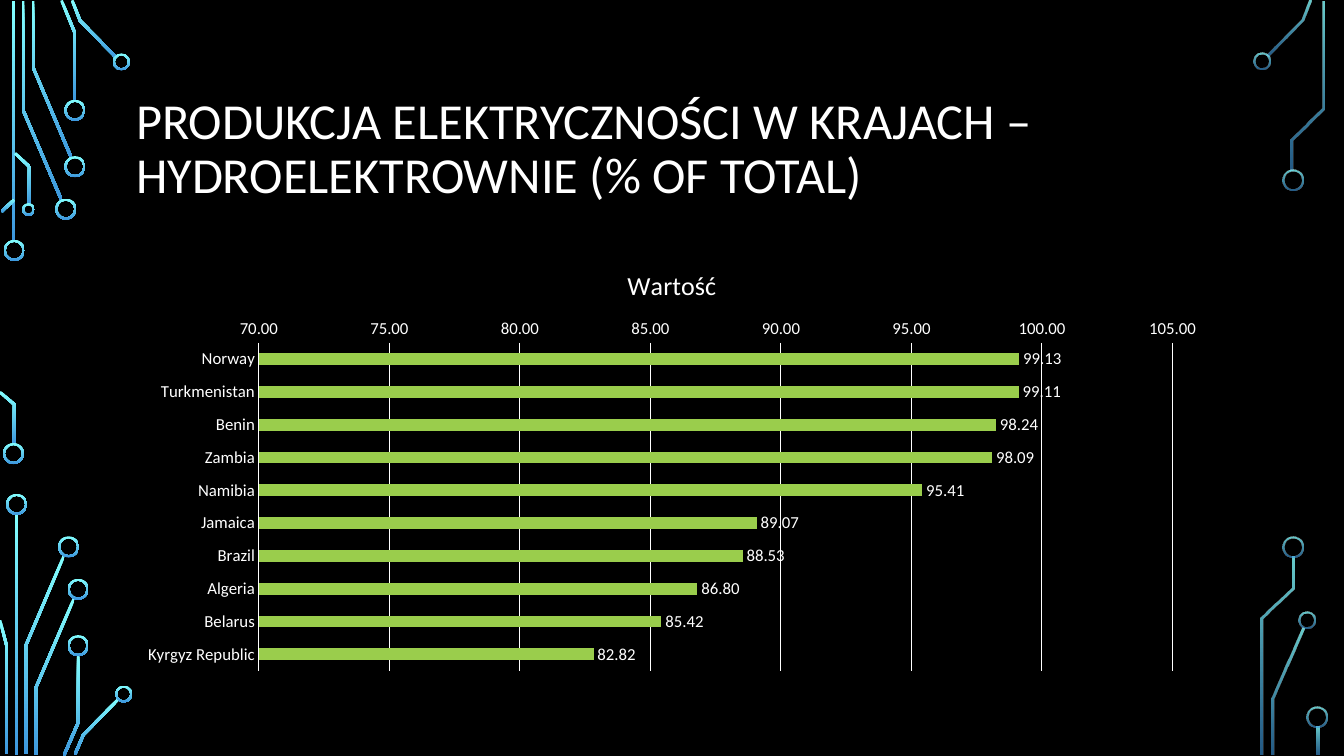
import math
from dataclasses import dataclass

import lxml.etree
import pptx
import pptx.chart.data
import pptx.dml.color
import pptx.enum.chart
import pptx.enum.shapes
import pptx.enum.text
import pptx.oxml
import pptx.oxml.ns
import pptx.util

Cm = pptx.util.Cm
RGB = pptx.dml.color.RGBColor


@dataclass(frozen=True)
class Theme:
    background: RGB = RGB.from_string("000000")
    text: RGB = RGB.from_string("FFFFFF")
    bar: RGB = RGB.from_string("9ACD4C")
    glow: tuple = (RGB.from_string("82FFFF"), RGB.from_string("3D97DE"))
    font: str = "Calibri"
    title_size: float = 36
    chart_title_size: float = 18.6
    axis_size: float = 12
    trace_width: float = 0.07
    ring_width: float = 0.05
    ring_size: float = 0.53


THEME = Theme()
SOLID = (100, 100)
FADED = (80, 60)

# Circuit traces: centre lines in cm
LEFT_TRACES = [
    [(0.34, 0.03), (0.34, 6.1)],
    [(0.58, 0.03), (0.58, 2.77), (1.55, 5.04)],
    [(0.83, 0.03), (0.83, 1.69), (1.8, 3.98)],
    [(1.55, 0.01), (1.89, 0.84), (1.89, 2.54)],
    [(1.82, 0.01), (2.02, 0.52), (2.93, 1.45)],
    [(0.04, 5.33), (0.36, 5.03)],
    [(0, 9.88), (0.36, 10.19), (0.36, 11.2)],
    [(0.38, 3.86), (0.74, 4.2), (0.74, 5.16)],
    [(0.42, 12.95), (0.42, 19.02)],
    [(0.65, 19), (0.65, 16.27), (1.61, 14.01)],
    [(0.17, 19), (0.17, 16.28), (0, 15.63)],
    [(0.9, 19.02), (0.9, 17.34), (1.87, 15.07)],
    [(1.61, 19.04), (1.97, 18.21), (1.97, 16.51)],
    [(1.89, 19.01), (2.1, 18.52), (3, 17.6)],
]
RIGHT_TRACES = [
    [(31.93, 1.41), (32.83, 0.51), (33.03, 0.01)],
    [(32.07, 19.02), (32.07, 17.61), (32.84, 15.84)],
    [(32.56, 4.3), (32.56, 3.52), (33.34, 2.73), (33.34, 0.03)],
    [(31.81, 19.02), (31.81, 15.58), (32.6, 14.82), (32.6, 14.02)],
    [(33.21, 18.31), (33.21, 19.02)],
]

# Trace ends: centre and, where it differs, diameter in cm
LEFT_RINGS = [
    (0.36, 6.31), (0.34, 11.43), (1.66, 5.27), (1.89, 4.2), (1.89, 2.78),
    (3.06, 1.56, 0.43), (0.72, 5.28, 0.32), (0.42, 12.71), (1.73, 13.78),
    (1.97, 14.85), (1.97, 16.27), (3.12, 17.49, 0.43),
]
RIGHT_RINGS = [
    (31.8, 1.54, 0.43), (32.58, 4.53), (32.93, 15.63, 0.43),
    (32.59, 13.78), (33.18, 18.08),
]

HYDRO_SHARE = {
    "Norway": 99.13, "Turkmenistan": 99.11, "Benin": 98.24, "Zambia": 98.09,
    "Namibia": 95.41, "Jamaica": 89.07, "Brazil": 88.53, "Algeria": 86.80,
    "Belarus": 85.42, "Kyrgyz Republic": 82.82,
}


def style_font(font, size, color=THEME.text, bold=False):
    font.name, font.size, font.bold = THEME.font, pptx.util.Pt(size), bold
    font.color.rgb = color


def add_text(para, text, *, size, color=THEME.text, bold=False, spacing=None):
    span = para.add_run()
    span.text = text
    style_font(span.font, size, color, bold)
    if spacing:
        para.line_spacing = spacing


def paint_glow(shape, opacities):
    """Fill from top to bottom with the glow colours, without outline or shadow."""
    shape.shadow.inherit = False
    shape.line.fill.background()
    shape.fill.gradient()
    shape.fill.gradient_angle = 270
    for stop, color in zip(shape.fill.gradient_stops, THEME.glow):
        stop.color.rgb = color
    colors = shape.element.iter(pptx.oxml.ns.qn("a:srgbClr"))
    for color, opacity in zip(colors, opacities):
        if opacity < 100:
            alpha = lxml.etree.SubElement(color, pptx.oxml.ns.qn("a:alpha"))
            alpha.set("val", str(opacity * 1000))


def trace_outline(points):
    """Widen a centre line into a band with mitred corners."""
    normals = []
    for (x1, y1), (x2, y2) in zip(points, points[1:]):
        length = math.hypot(x2 - x1, y2 - y1)
        normals.append(((y1 - y2) / length, (x2 - x1) / length))
    before, after = normals[:1] + normals, normals + normals[-1:]
    right, left = [], []
    for (x, y), (ax, ay), (bx, by) in zip(points, before, after):
        reach = THEME.trace_width / 2 / (1 + ax * bx + ay * by)
        dx, dy = (ax + bx) * reach, (ay + by) * reach
        right.append((Cm(x + dx), Cm(y + dy)))
        left.append((Cm(x - dx), Cm(y - dy)))
    return right + left[::-1]


def add_trace(slide, points, opacities):
    start, *rest = trace_outline(points)
    builder = slide.shapes.build_freeform(*start, scale=1.0)
    builder.add_line_segments(rest, close=True)
    paint_glow(builder.convert_to_shape(), opacities)


def add_ring(slide, x, y, size=THEME.ring_size, *, opacities):
    ring = slide.shapes.add_shape(
        pptx.enum.shapes.MSO_SHAPE.DONUT,
        Cm(x - size / 2), Cm(y - size / 2), Cm(size), Cm(size))
    ring.adjustments[0] = THEME.ring_width / size
    paint_glow(ring, opacities)


def add_circuit(slide, traces, rings, opacities):
    for points in traces:
        add_trace(slide, points, opacities)
    for ring in rings:
        add_ring(slide, *ring, opacities=opacities)


def add_title(slide, text):
    box = slide.shapes.add_textbox(Cm(3.18), Cm(1.73), Cm(27.51), Cm(4.11))
    box.text_frame.word_wrap = True
    box.text_frame.vertical_anchor = pptx.enum.text.MSO_ANCHOR.MIDDLE
    add_text(box.text_frame.paragraphs[0], text, size=THEME.title_size, spacing=0.9)


def style_line(line):
    line.color.rgb = THEME.text
    line.width = pptx.util.Pt(0.75)


def add_bar_chart(slide, name, shares):
    data = pptx.chart.data.CategoryChartData(number_format="0.00")
    data.categories = list(shares)
    data.add_series(name, list(shares.values()))
    chart = slide.shapes.add_chart(
        pptx.enum.chart.XL_CHART_TYPE.BAR_CLUSTERED,
        Cm(3.18), Cm(6.25), Cm(27.51), Cm(10.87), data).chart
    style_font(chart.font, 10)
    chart.has_legend = False
    add_text(chart.chart_title.text_frame.paragraphs[0], name,
             size=THEME.chart_title_size)
    chart.chart_title.include_in_layout = False

    # Transparent chart area
    area = pptx.oxml.parse_xml(
        "<c:spPr %s><a:noFill/><a:ln><a:noFill/></a:ln></c:spPr>"
        % pptx.oxml.ns.nsdecls("c", "a"))
    chart.element.find(pptx.oxml.ns.qn("c:chart")).addnext(area)

    # Axes
    countries, values = chart.category_axis, chart.value_axis
    for axis in (countries, values):
        axis.major_tick_mark = pptx.enum.chart.XL_TICK_MARK.NONE
        axis.minor_tick_mark = pptx.enum.chart.XL_TICK_MARK.NONE
        style_font(axis.tick_labels.font, THEME.axis_size)
    countries.reverse_order = True
    style_line(countries.format.line)
    values.minimum_scale, values.maximum_scale, values.major_unit = 70, 105, 5
    values.tick_labels.number_format = "0.00"
    values.tick_labels.number_format_is_linked = False
    values.format.line.fill.background()
    style_line(values.major_gridlines.format.line)

    # Bars and their labels
    plot = chart.plots[0]
    plot.gap_width = 182
    plot.vary_by_categories = False
    bars = plot.series[0]
    bars.format.fill.solid()
    bars.format.fill.fore_color.rgb = THEME.bar
    labels = bars.data_labels
    labels.show_value = True
    labels.number_format, labels.number_format_is_linked = "0.00", False
    labels.position = pptx.enum.chart.XL_LABEL_POSITION.OUTSIDE_END
    style_font(labels.font, THEME.axis_size)


def main():
    deck = pptx.Presentation()
    deck.slide_width, deck.slide_height = Cm(33.87), Cm(19.05)
    slide = deck.slides.add_slide(deck.slide_layouts[6])
    slide.background.fill.solid()
    slide.background.fill.fore_color.rgb = THEME.background
    add_circuit(slide, LEFT_TRACES, LEFT_RINGS, SOLID)
    add_circuit(slide, RIGHT_TRACES, RIGHT_RINGS, FADED)
    add_title(slide, "PRODUKCJA ELEKTRYCZNOŚCI W KRAJACH – "
                     "HYDROELEKTROWNIE (% OF TOTAL)")
    add_bar_chart(slide, "Wartość", HYDRO_SHARE)
    deck.save("out.pptx")


if __name__ == "__main__":
    main()
